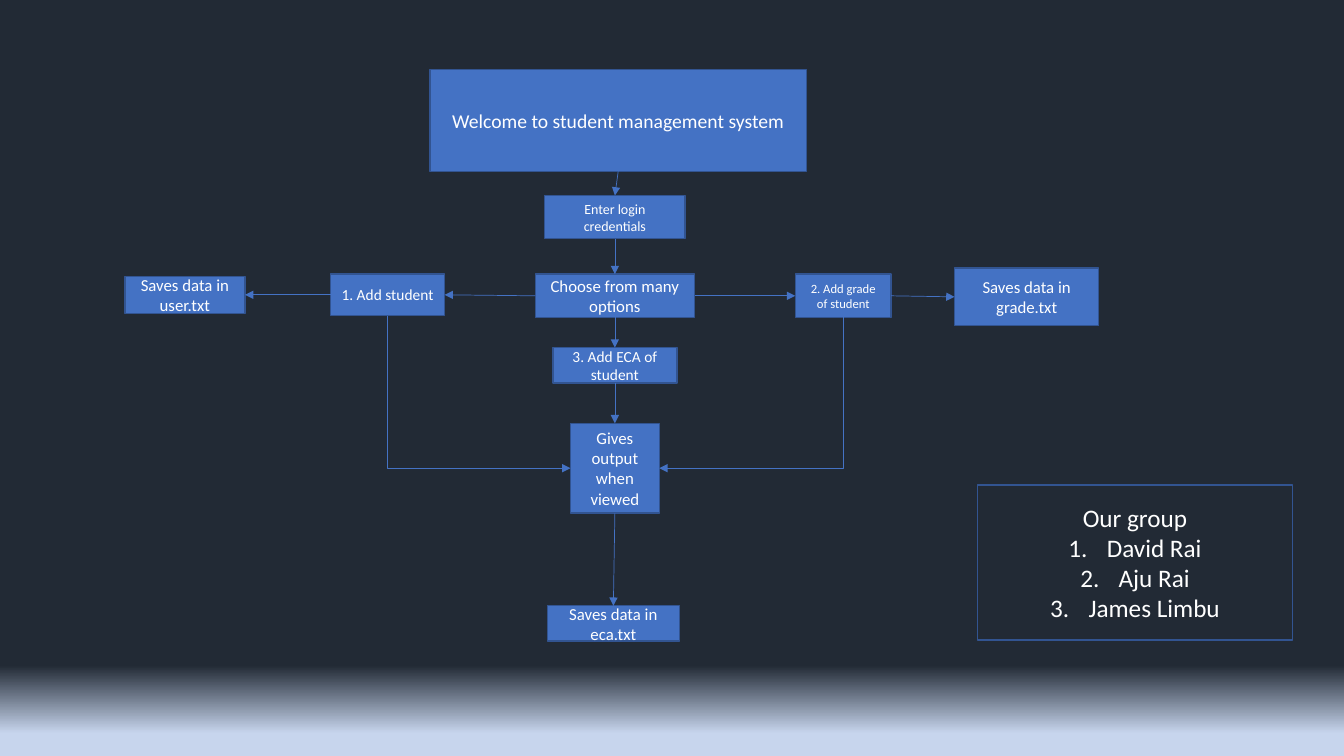
"""Build the flowchart slide of a student management system."""
import lxml.etree
import pptx
import pptx.dml.color
import pptx.enum.shapes
import pptx.enum.text
import pptx.oxml.ns
import pptx.util

NIGHT = pptx.dml.color.RGBColor(0x22, 0x2A, 0x35)
HORIZON = pptx.dml.color.RGBColor(0xC7, 0xD5, 0xED)
BLUE = pptx.dml.color.RGBColor(0x44, 0x72, 0xC4)
BORDER = pptx.dml.color.RGBColor(0x32, 0x54, 0x91)
WHITE = pptx.dml.color.RGBColor(0xFF, 0xFF, 0xFF)
TOP, LEFT, BOTTOM, RIGHT = range(4)
STRAIGHT = pptx.enum.shapes.MSO_CONNECTOR.STRAIGHT
ELBOW = pptx.enum.shapes.MSO_CONNECTOR.ELBOW

deck = pptx.Presentation()
deck.slide_width = pptx.util.Inches(13.33)
deck.slide_height = pptx.util.Inches(7.5)
column = deck.slide_width / 100
row = deck.slide_height / 100
slide = deck.slides.add_slide(deck.slide_layouts[6])

sky = slide.background.fill
sky.gradient()
sky.gradient_angle = 270
for stop, position, color in zip(sky.gradient_stops, (0.88, 0.97), (NIGHT, HORIZON)):
    stop.position = position
    stop.color.rgb = color


def add_box(text, center_x, center_y, width, height, size, fill=BLUE):
    box = slide.shapes.add_shape(
        pptx.enum.shapes.MSO_SHAPE.RECTANGLE,
        round((center_x - width / 2) * column), round((center_y - height / 2) * row),
        round(width * column), round(height * row))
    box.shadow.inherit = False
    box.fill.solid()
    box.fill.fore_color.rgb = fill
    box.line.color.rgb = BORDER
    box.line.width = pptx.util.Pt(1)
    box.text_frame.text = text
    box.text_frame.word_wrap = True
    box.text_frame.vertical_anchor = pptx.enum.text.MSO_ANCHOR.MIDDLE
    for paragraph in box.text_frame.paragraphs:
        paragraph.alignment = pptx.enum.text.PP_ALIGN.CENTER
        for run in paragraph.runs:
            run.font.name = "Calibri"
            run.font.size = pptx.util.Pt(size)
            run.font.color.rgb = WHITE
    return box


def add_arrow(kind, source, source_side, target, target_side):
    arrow = slide.shapes.add_connector(kind, 0, 0, 0, 0)
    arrow.begin_connect(source, source_side)
    arrow.end_connect(target, target_side)
    arrow.line.color.rgb = BLUE
    arrow.line.width = pptx.util.Pt(0.5)
    line = arrow.line._get_or_add_ln()
    lxml.etree.SubElement(line, pptx.oxml.ns.qn("a:tailEnd"), type="triangle")
    lxml.etree.SubElement(arrow.element.spPr, pptx.oxml.ns.qn("a:effectLst"))
    return arrow


spine = 45.75
welcome = add_box("Welcome to student management system", 46, 15.93, 28, 13.47, 14)
login = add_box("Enter login credentials", spine, 28.73, 10.43, 5.73, 10)
options = add_box("Choose from many options", spine, 39.13, 11.85, 5.73, 12)
student = add_box("1. Add student", 28.84, 39, 8.48, 5.47, 11)
grade = add_box("2. Add grade of student", 62.74, 39.13, 7.13, 5.73, 9)
eca = add_box("3. Add ECA of student", spine, 48.33, 9.23, 4.67, 11)
output = add_box("Gives output when viewed", spine, 61.93, 6.6, 11.87, 12)
user_file = add_box("Saves data in user.txt", 13.76, 39, 8.93, 4.93, 12)
grade_file = add_box("Saves data in grade.txt", 76.39, 39.27, 10.73, 7.6, 12)
eca_file = add_box("Saves data in eca.txt", 45.64, 82.47, 9.83, 4.67, 12)

for source, source_side, target, target_side in (
        (welcome, BOTTOM, login, TOP),
        (login, BOTTOM, options, TOP),
        (options, LEFT, student, RIGHT),
        (options, RIGHT, grade, LEFT),
        (options, BOTTOM, eca, TOP),
        (student, LEFT, user_file, RIGHT),
        (grade, RIGHT, grade_file, LEFT),
        (eca, BOTTOM, output, TOP),
        (output, BOTTOM, eca_file, TOP)):
    add_arrow(STRAIGHT, source, source_side, target, target_side)

for source, side, rotation, flip in ((student, LEFT, 270, "1"), (grade, RIGHT, 90, "0")):
    bend = add_arrow(ELBOW, source, BOTTOM, output, side)
    across, down = bend.width, bend.height
    bend.left += (across - down) // 2
    bend.top += (down - across) // 2
    bend.width, bend.height = down, across
    frame = bend.element.spPr.find(pptx.oxml.ns.qn("a:xfrm"))
    frame.set("rot", str(rotation * 60000))
    frame.set("flipH", flip)
    bend.element.spPr.find(pptx.oxml.ns.qn("a:prstGeom")).set("prst", "bentConnector2")

group = add_box("Our group\nDavid Rai\nAju Rai\nJames Limbu", 84.45, 74.4, 23.4, 20.53, 18, NIGHT)
indent = pptx.util.Inches(0.38)
for member in group.text_frame.paragraphs[1:]:
    properties = member._p.get_or_add_pPr()
    properties.set("marL", str(indent))
    properties.set("indent", str(-indent))
    lxml.etree.SubElement(properties, pptx.oxml.ns.qn("a:buAutoNum"), type="arabicPeriod")

deck.save("out.pptx")
